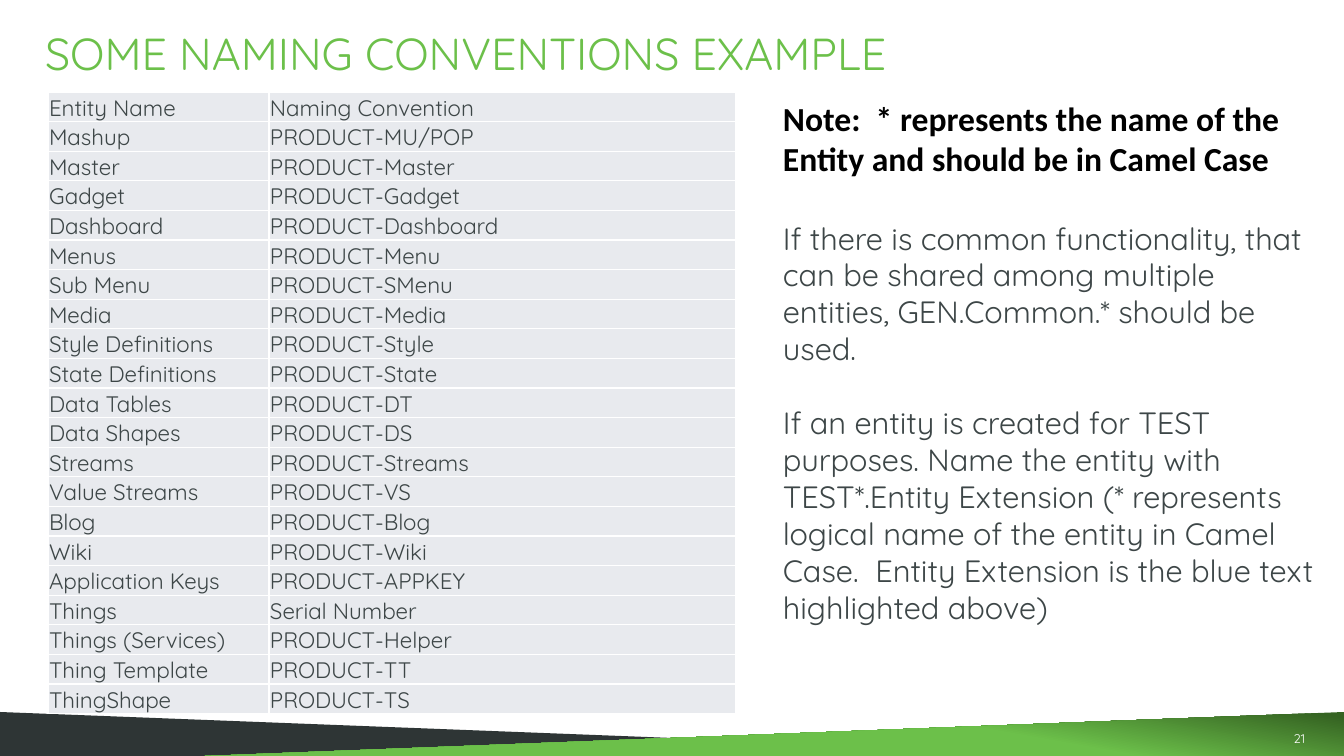
import pptx
import pptx.util
from pptx.dml.color import RGBColor
from pptx.enum.shapes import MSO_SHAPE
from pptx.enum.text import MSO_ANCHOR, PP_ALIGN

PX = 914400 / 100.8
FONT = "Quicksand"
GREEN = RGBColor(0x6C, 0xC0, 0x4A)
DARK_GREEN = RGBColor(0x35, 0x63, 0x22)
CHARCOAL = RGBColor(0x2E, 0x35, 0x35)
SLATE = RGBColor(0x3D, 0x46, 0x47)
PALE = RGBColor(0xE8, 0xEA, 0xEE)
WHITE = RGBColor(0xFF, 0xFF, 0xFF)
BLACK = RGBColor(0, 0, 0)

CONVENTIONS = [
    ("Entity Name", "Naming Convention"),
    ("Mashup", "PRODUCT-MU/POP"),
    ("Master", "PRODUCT-Master"),
    ("Gadget", "PRODUCT-Gadget"),
    ("Dashboard", "PRODUCT-Dashboard"),
    ("Menus", "PRODUCT-Menu"),
    ("Sub Menu", "PRODUCT-SMenu"),
    ("Media", "PRODUCT-Media"),
    ("Style Definitions", "PRODUCT-Style"),
    ("State Definitions", "PRODUCT-State"),
    ("Data Tables", "PRODUCT-DT"),
    ("Data Shapes", "PRODUCT-DS"),
    ("Streams", "PRODUCT-Streams"),
    ("Value Streams", "PRODUCT-VS"),
    ("Blog", "PRODUCT-Blog"),
    ("Wiki", "PRODUCT-Wiki"),
    ("Application Keys", "PRODUCT-APPKEY"),
    ("Things", "Serial Number"),
    ("Things (Services)", "PRODUCT-Helper"),
    ("Thing Template", "PRODUCT-TT"),
    ("ThingShape", "PRODUCT-TS"),
]
NOTE = "Note:  * represents the name of the Entity and should be in Camel Case"
COMMON = ("If there is common functionality, that can be shared among multiple "
          "entities, GEN.Common.* should be used.")
TEST = ("If an entity is created for TEST purposes. Name the entity with "
        "TEST*.Entity Extension (* represents logical name of the entity in "
        "Camel Case.  Entity Extension is the blue text highlighted above)")


def px(n):
    return pptx.util.Emu(round(n * PX))


def add_run(p, text, size, color, font=FONT, bold=False):
    r = p.add_run()
    r.text = text
    r.font.size = pptx.util.Pt(size)
    r.font.name = font
    r.font.bold = bold
    r.font.color.rgb = color


def set_margins(target, left, top, right, bottom):
    target.margin_left, target.margin_top = px(left), px(top)
    target.margin_right, target.margin_bottom = px(right), px(bottom)


def add_text_frame(s, x, y, w, h, margin_x=0, margin_y=0):
    tf = s.shapes.add_textbox(px(x), px(y), px(w), px(h)).text_frame
    tf.word_wrap = True
    set_margins(tf, margin_x, margin_y, margin_x, margin_y)
    return tf


def add_wedge(s, x, y, w, h):
    sp = s.shapes.add_shape(MSO_SHAPE.RIGHT_TRIANGLE, px(x), px(y), px(w), px(h))
    sp.shadow.inherit = False
    sp.line.fill.background()
    return sp


def add_footer(s):
    left = add_wedge(s, 0, 712, 1139, 44)
    left.fill.solid()
    left.fill.fore_color.rgb = CHARCOAL

    right = add_wedge(s, 205, 712, 1139, 44)
    right._element.spPr.xfrm.set("flipH", "1")
    right.fill.gradient()
    right.fill.gradient_angle = 280
    stops = ((0.02, DARK_GREEN), (0.33, GREEN))
    for stop, (position, color) in zip(right.fill.gradient_stops, stops):
        stop.position = position
        stop.color.rgb = color

    p = add_text_frame(s, 1240, 731, 65, 15).paragraphs[0]
    p.alignment = PP_ALIGN.RIGHT
    add_run(p, "21", 9, WHITE)


def add_title(s):
    tf = add_text_frame(s, 45, 39, 1131, 38)
    tf.vertical_anchor = MSO_ANCHOR.MIDDLE
    p = tf.paragraphs[0]
    p.line_spacing = 0.8
    add_run(p, "SOME NAMING CONVENTIONS EXAMPLE", 32, GREEN)


def add_conventions_table(s):
    widths, height = (221, 467), 622
    count = len(CONVENTIONS)
    table = s.shapes.add_table(count, len(widths), px(48), px(92),
                               px(sum(widths)), px(height)).table
    table.first_row = table.horz_banding = False
    for column, width in zip(table.columns, widths):
        column.width = px(width)
    for row, texts in zip(table.rows, CONVENTIONS):
        row.height = px(height / count)
        for cell, text in zip(row.cells, texts):
            cell.fill.solid()
            cell.fill.fore_color.rgb = PALE
            cell.vertical_anchor = MSO_ANCHOR.BOTTOM
            set_margins(cell, 1, 1, 1, 0)
            add_run(cell.text_frame.paragraphs[0], text, 16, SLATE)


def add_notes_column(s):
    tf = add_text_frame(s, 773, 93, 562, 543, margin_x=10, margin_y=5)
    add_run(tf.paragraphs[0], NOTE, 24, BLACK, "Calibri", True)
    for text, gap in ((COMMON, 29), (TEST, 26.4)):
        p = tf.add_paragraph()
        p.space_before = pptx.util.Pt(gap)
        add_run(p, text, 22, SLATE)


def main():
    prs = pptx.Presentation()
    prs.slide_width, prs.slide_height = px(1344), px(756)
    s = prs.slides.add_slide(prs.slide_layouts[6])
    add_footer(s)
    add_title(s)
    add_conventions_table(s)
    add_notes_column(s)
    prs.save("out.pptx")


if __name__ == "__main__":
    main()
